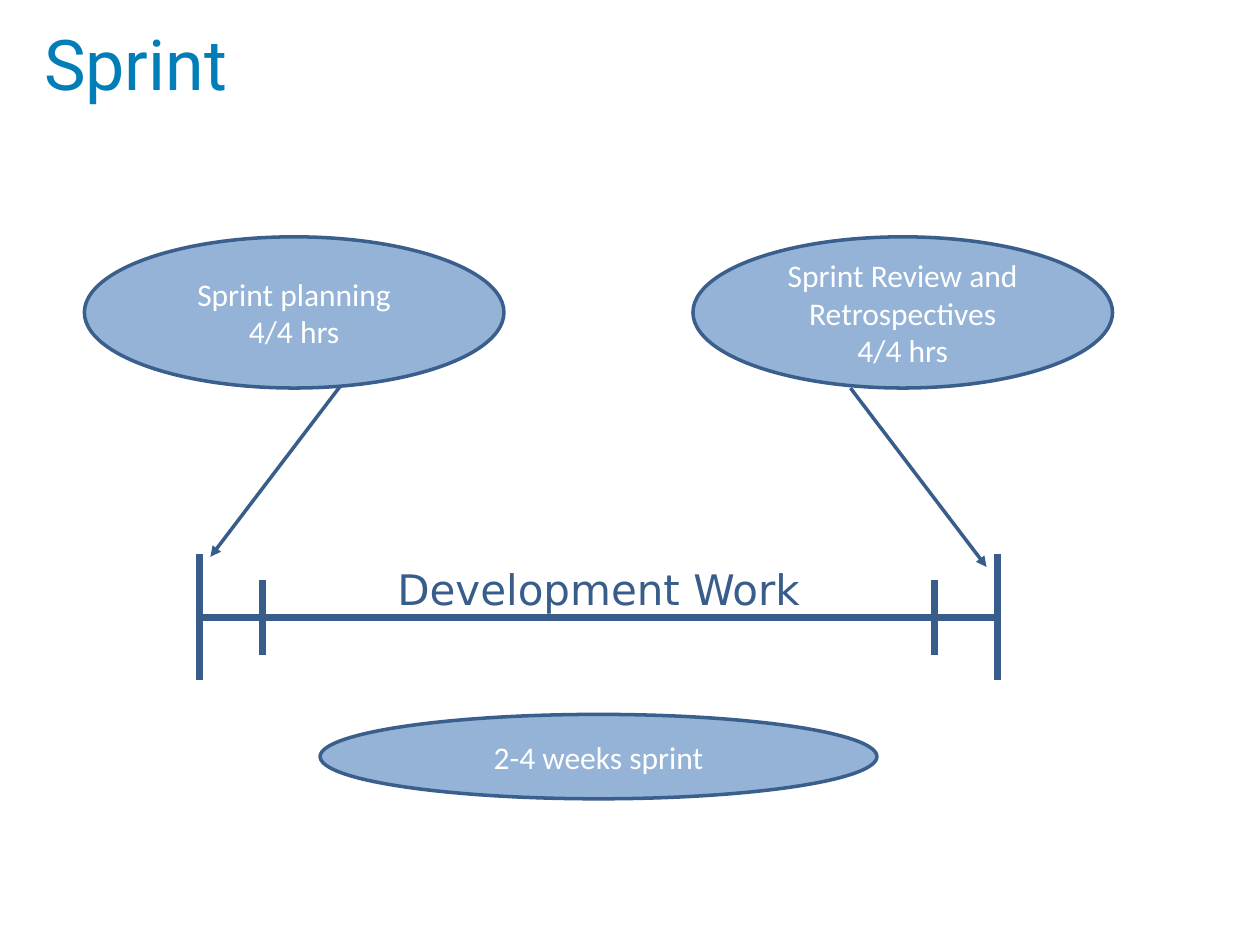
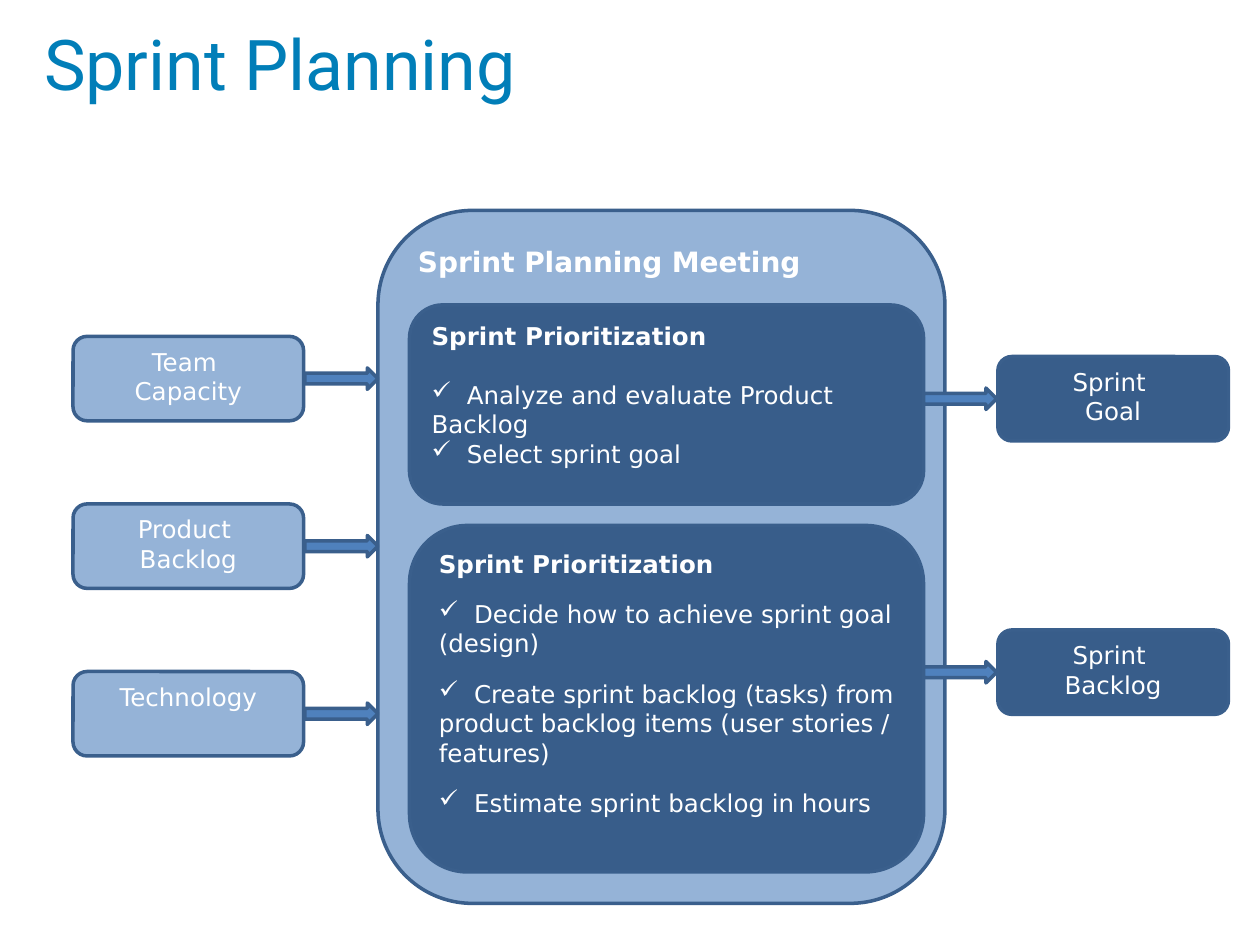
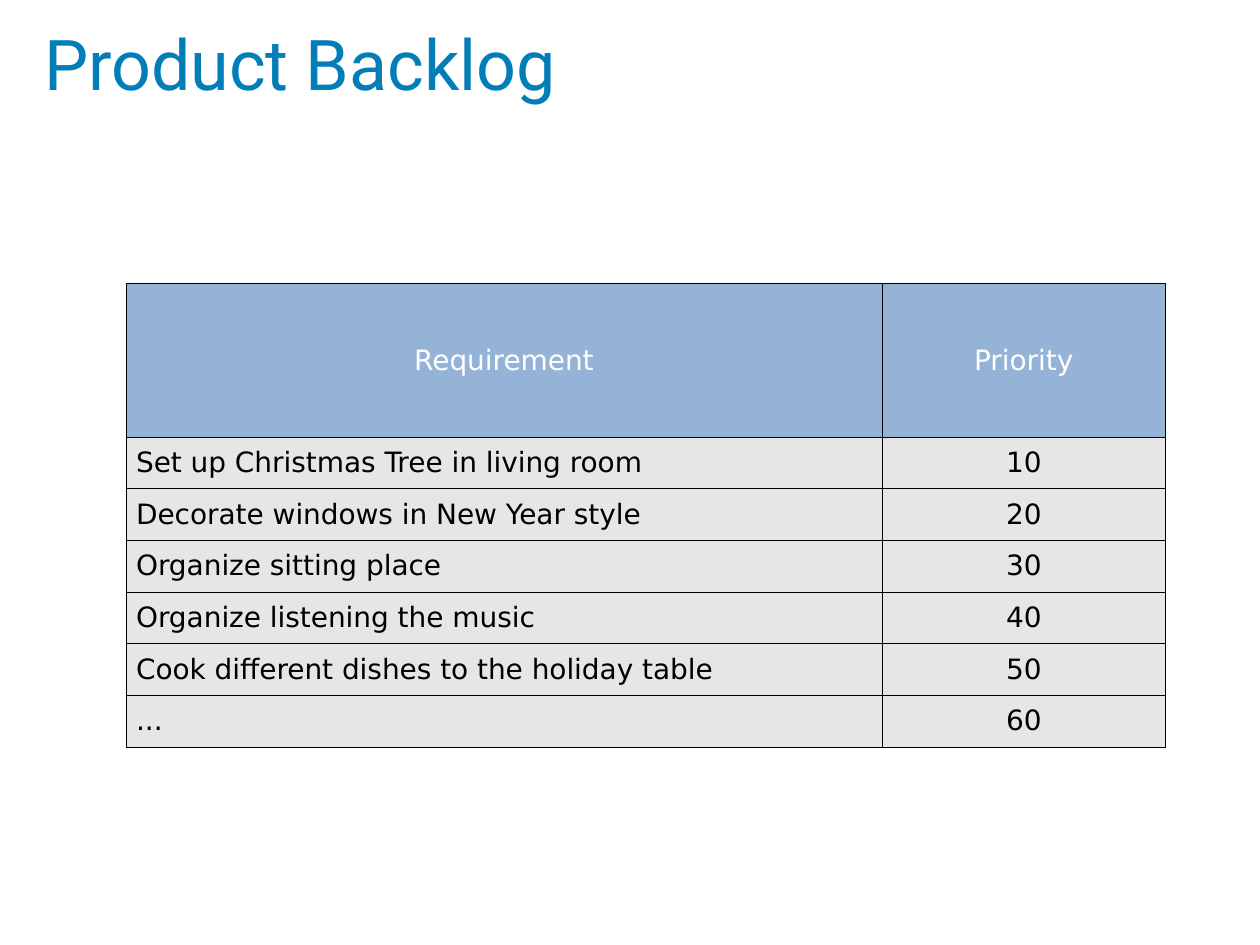
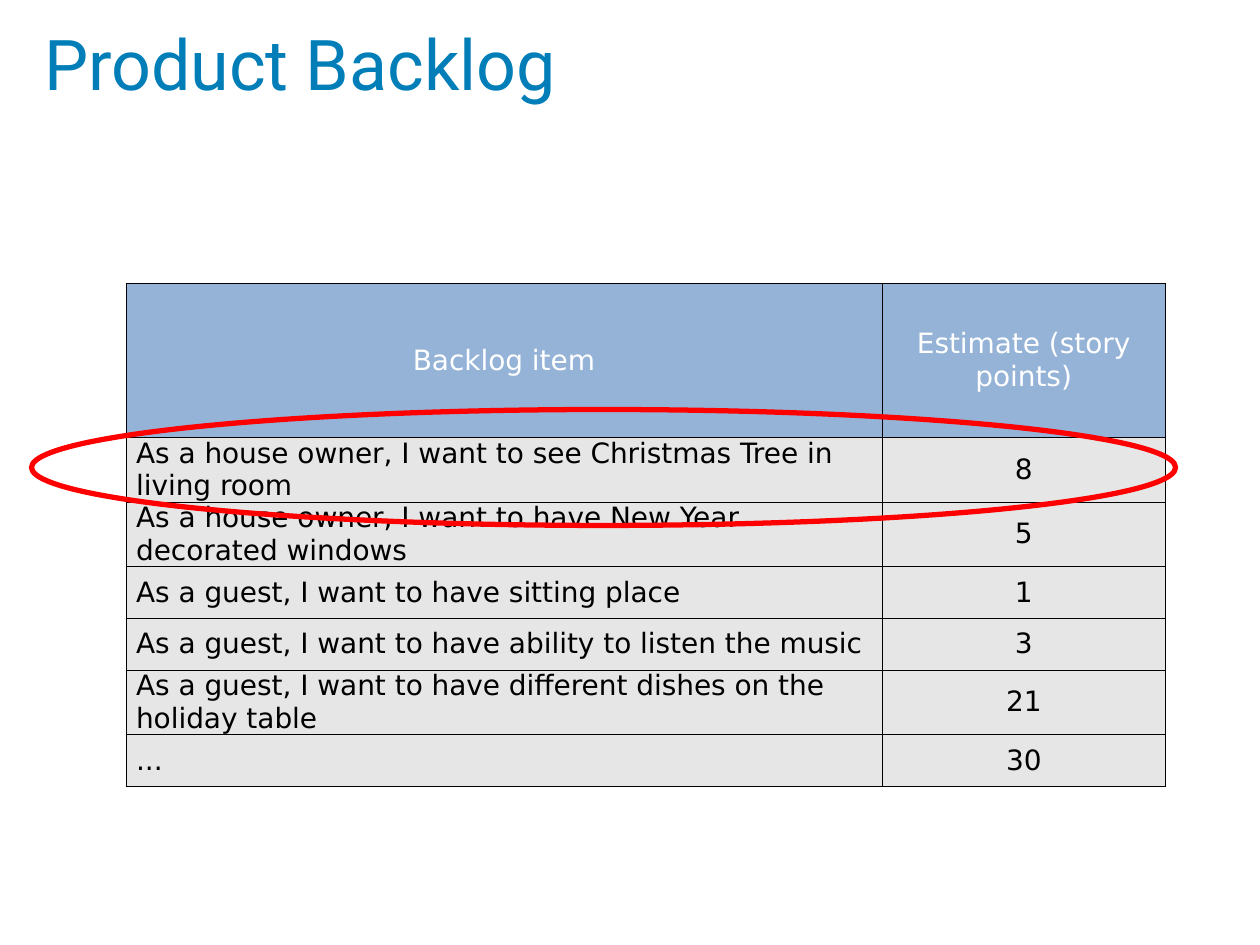
from dataclasses import dataclass

from lxml.etree import SubElement
from pptx import Presentation
from pptx.dml.color import RGBColor as RGB
from pptx.enum.shapes import MSO_CONNECTOR as CONNECTOR, MSO_SHAPE as SHAPE
from pptx.enum.text import MSO_ANCHOR as ANCHOR, MSO_AUTO_SIZE as AUTO, PP_ALIGN as ALIGN
from pptx.oxml.ns import qn
from pptx.util import Inches, Pt


@dataclass(frozen=True)
class Theme:
    # Colours
    title: str = "017EB8"
    light: str = "95B3D7"
    dark: str = "385D8A"
    outline: str = "3A5F8C"
    arrow: str = "4F81BD"
    row: str = "E6E6E6"
    white: str = "FFFFFF"
    black: str = "000000"
    highlight: str = "FF0000"
    # Fonts
    title_font: str = "Roboto"
    oval_font: str = "Calibri"
    body_font: str = "DejaVu Sans"
    # Type sizes
    title_size: int = 40
    label_size: int = 24
    oval_size: int = 18
    head_size: int = 16
    body_size: int = 14


T = Theme()


def set_all(obj, values):
    for name, value in values.items():
        setattr(obj, name, value)


def box(*lengths):
    return [Inches(v) for v in lengths]


# Text
def write(p, text, size=T.body_size, color=T.white, font=T.body_font, bold=False,
          **para_format):
    r = p.add_run()
    r.text = text
    set_all(r.font, {"size": Pt(size), "name": font, "bold": bold})
    r.font.color.rgb = RGB.from_string(color)
    set_all(p, para_format)


def write_lines(tf, lines, **style):
    for i, line in enumerate(lines):
        write(tf.add_paragraph() if i else tf.paragraphs[0], line, **style)


def add_check(p):
    """Check-mark bullet; wrapped lines return to the left margin."""
    pPr = p._p.get_or_add_pPr()
    set_all_xml = {"marL": "0", "indent": "0"}
    for name, value in set_all_xml.items():
        pPr.set(name, value)
    SubElement(pPr, qn("a:buChar"), char="✓")
    tabs = SubElement(pPr, qn("a:tabLst"))
    SubElement(tabs, qn("a:tab"), pos=str(Inches(0.28)), algn="l")


# Slide and shapes
def add_slide(prs, title):
    slide = prs.slides.add_slide(prs.slide_layouts[5])
    sp = slide.shapes.title
    set_all(sp, dict(zip(("left", "top", "width", "height"), box(0.25, 0, 9, 1))))
    tf = sp.text_frame
    set_all(tf, {"vertical_anchor": ANCHOR.MIDDLE, "auto_size": AUTO.NONE})
    write(tf.paragraphs[0], title, T.title_size, T.title, T.title_font,
          alignment=ALIGN.LEFT)
    return slide


def add_shape(shapes, kind, at, fill=None, line=T.outline, width=2, anchor=ANCHOR.TOP):
    sp = shapes.add_shape(kind, *box(*at))
    sp.shadow.inherit = False
    if fill:
        sp.fill.solid()
        sp.fill.fore_color.rgb = RGB.from_string(fill)
    else:
        sp.fill.background()
    sp.line.color.rgb = RGB.from_string(line)
    sp.line.width = Pt(width)
    set_all(sp.text_frame, {"word_wrap": True, "vertical_anchor": anchor})
    return sp


def add_oval(shapes, at, lines):
    sp = add_shape(shapes, SHAPE.OVAL, at, T.light, anchor=ANCHOR.MIDDLE)
    write_lines(sp.text_frame, lines, size=T.oval_size, font=T.oval_font,
                alignment=ALIGN.CENTER)


def add_card(shapes, left, top, fill, lines):
    sp = add_shape(shapes, SHAPE.ROUNDED_RECTANGLE, (left, top, 1.83, 0.67), fill)
    write_lines(sp.text_frame, lines, alignment=ALIGN.CENTER)


def add_panel(shapes, top, height, heading, items, head_format, item_format):
    sp = add_shape(shapes, SHAPE.ROUNDED_RECTANGLE, (3.25, top, 4.08, height), T.dark)
    tf = sp.text_frame
    write(tf.paragraphs[0], heading, bold=True, alignment=ALIGN.LEFT, **head_format)
    for item in items:
        p = tf.add_paragraph()
        write(p, "\t" + item, alignment=ALIGN.LEFT, **item_format)
        add_check(p)


def add_line(shapes, start, end, width, arrow=False):
    cx = shapes.add_connector(CONNECTOR.STRAIGHT, *box(*start, *end))
    cx.line.color.rgb = RGB.from_string(T.dark)
    cx.line.width = Pt(width)
    if arrow:
        SubElement(cx.line._get_or_add_ln(), qn("a:tailEnd"), type="triangle")
    SubElement(cx._element.spPr, qn("a:effectLst"))


# Table
def add_borders(cell):
    tcPr = cell._tc.get_or_add_tcPr()
    for side in ("lnL", "lnR", "lnT", "lnB"):
        ln = SubElement(tcPr, qn("a:" + side), w=str(Pt(0.5)))
        SubElement(SubElement(ln, qn("a:solidFill")), qn("a:srgbClr"), val=T.black)


def add_backlog(slide, rows):
    heights = [1.22] + [0.41] * (len(rows) - 1)
    table = slide.shapes.add_table(len(rows), 2, *box(1, 2.25, 8.25, sum(heights))).table
    table.horz_banding = False
    for column, width in zip(table.columns, (6, 2.25)):
        column.width = Inches(width)
    for i, (values, height) in enumerate(zip(rows, heights)):
        table.rows[i].height = Inches(height)
        for j, text in enumerate(values):
            cell = table.cell(i, j)
            is_item = i > 0 and j == 0
            set_all(cell, {"margin_left": Inches(0.08 if is_item else 0),
                           "margin_right": 0, "margin_top": 0, "margin_bottom": 0,
                           "vertical_anchor": ANCHOR.MIDDLE})
            add_borders(cell)
            cell.fill.solid()
            cell.fill.fore_color.rgb = RGB.from_string(T.row if i else T.light)
            write(cell.text_frame.paragraphs[0], text, T.head_size,
                  T.black if i else T.white,
                  alignment=ALIGN.LEFT if is_item else ALIGN.CENTER)


# Slides
def build_sprint(prs):
    shapes = add_slide(prs, "Sprint").shapes
    add_line(shapes, (2.75, 3), (1.67, 4.42), 2, arrow=True)

    # Timeline with paired end marks
    timeline = shapes.add_group_shape().shapes
    left, right, mid = 1.58, 7.92, 4.9
    add_line(timeline, (left, mid), (right, mid), 4)
    for inset, half in ((0, 0.5), (0.5, 0.3)):
        for x in (left + inset, right - inset):
            add_line(timeline, (x, mid - half), (x, mid + half), 4)

    add_oval(shapes, (2.54, 5.67, 4.42, 0.67), ["2-4 weeks sprint"])
    add_oval(shapes, (0.67, 1.88, 3.33, 1.2), ["Sprint planning", "4/4 hrs"])
    add_oval(shapes, (5.5, 1.88, 3.33, 1.2),
             ["Sprint Review and Retrospectives", "4/4 hrs"])

    tf = shapes.add_textbox(*box(3.04, 4.42, 3.42, 0.5)).text_frame
    set_all(tf, {"word_wrap": True, "auto_size": AUTO.SHAPE_TO_FIT_TEXT})
    write(tf.paragraphs[0], "Development Work", T.label_size, T.dark,
          alignment=ALIGN.CENTER)
    add_line(shapes, (6.75, 3.08), (7.83, 4.5), 2, arrow=True)


def build_planning(prs):
    shapes = add_slide(prs, "Sprint Planning").shapes.add_group_shape().shapes

    # Meeting and its two parts
    meeting = add_shape(shapes, SHAPE.ROUNDED_RECTANGLE, (3, 1.67, 4.5, 5.5), T.light)
    write(meeting.text_frame.paragraphs[0], "Sprint Planning Meeting", T.head_size,
          bold=True, alignment=ALIGN.LEFT)
    spaced = {"space_before": Pt(6), "space_after": Pt(6)}
    add_panel(shapes, 2.42, 1.58, "Sprint Prioritization",
              ["Analyze and evaluate Product Backlog", "Select sprint goal"],
              {"space_after": Pt(17)}, {})
    add_panel(shapes, 4.17, 2.75, "Sprint Prioritization",
              ["Decide how to achieve sprint goal (design)",
               "Create sprint backlog (tasks) from product backlog items "
               "(user stories / features)",
               "Estimate sprint backlog in hours"], spaced, spaced)

    # Inputs and outputs, each with its arrow
    inputs = [["Team ", "Capacity"], ["Product ", "Backlog"], ["Technology"]]
    outputs = [["Sprint ", "Goal"], ["Sprint ", "Backlog"]]
    for cards, left, arrow_left, top, step, fill in (
            (inputs, 0.58, 2.42, 2.67, 1.33, T.light),
            (outputs, 7.92, 7.33, 2.83, 2.17, T.dark)):
        for i, lines in enumerate(cards):
            y = top + i * step
            add_card(shapes, left, y, fill, lines)
            add_shape(shapes, SHAPE.RIGHT_ARROW, (arrow_left, y + 0.25, 0.58, 0.17),
                      T.arrow)


def build_priorities(prs):
    add_backlog(add_slide(prs, "Product Backlog"), [
        ("Requirement", "Priority"),
        ("Set up Christmas Tree in living room", "10"),
        ("Decorate windows in New Year style", "20"),
        ("Organize sitting place", "30"),
        ("Organize listening the music", "40"),
        ("Cook different dishes to the holiday table", "50"),
        ("...", "60"),
    ])


def build_estimates(prs):
    slide = add_slide(prs, "Product Backlog")
    add_backlog(slide, [
        ("Backlog item", "Estimate (story points)"),
        ("As a house owner, I want to see Christmas Tree in living room", "8"),
        ("As a house owner, I want to have New Year decorated windows", "5"),
        ("As a guest, I want to have sitting place", "1"),
        ("As a guest, I want to have ability to listen the music", "3"),
        ("As a guest, I want to have different dishes on the holiday table", "21"),
        ("...", "30"),
    ])
    # Ring around the first item
    add_shape(slide.shapes, SHAPE.OVAL, (0.25, 3.25, 9.08, 0.92),
              line=T.highlight, width=3)


def main():
    prs = Presentation()
    set_all(prs, {"slide_width": Inches(10), "slide_height": Inches(7.5)})
    for build in (build_sprint, build_planning, build_priorities, build_estimates):
        build(prs)
    prs.save("out.pptx")


if __name__ == "__main__":
    main()
